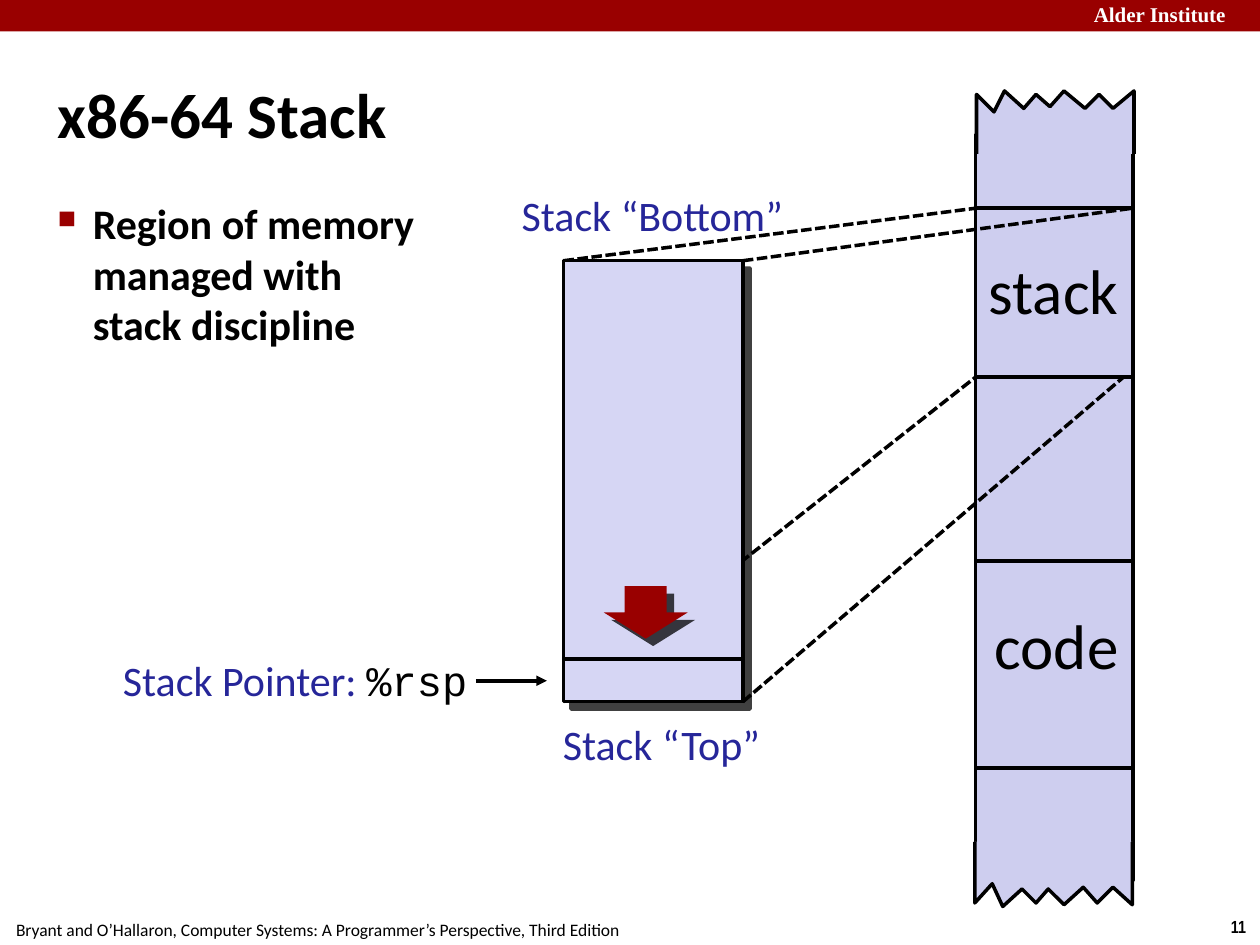
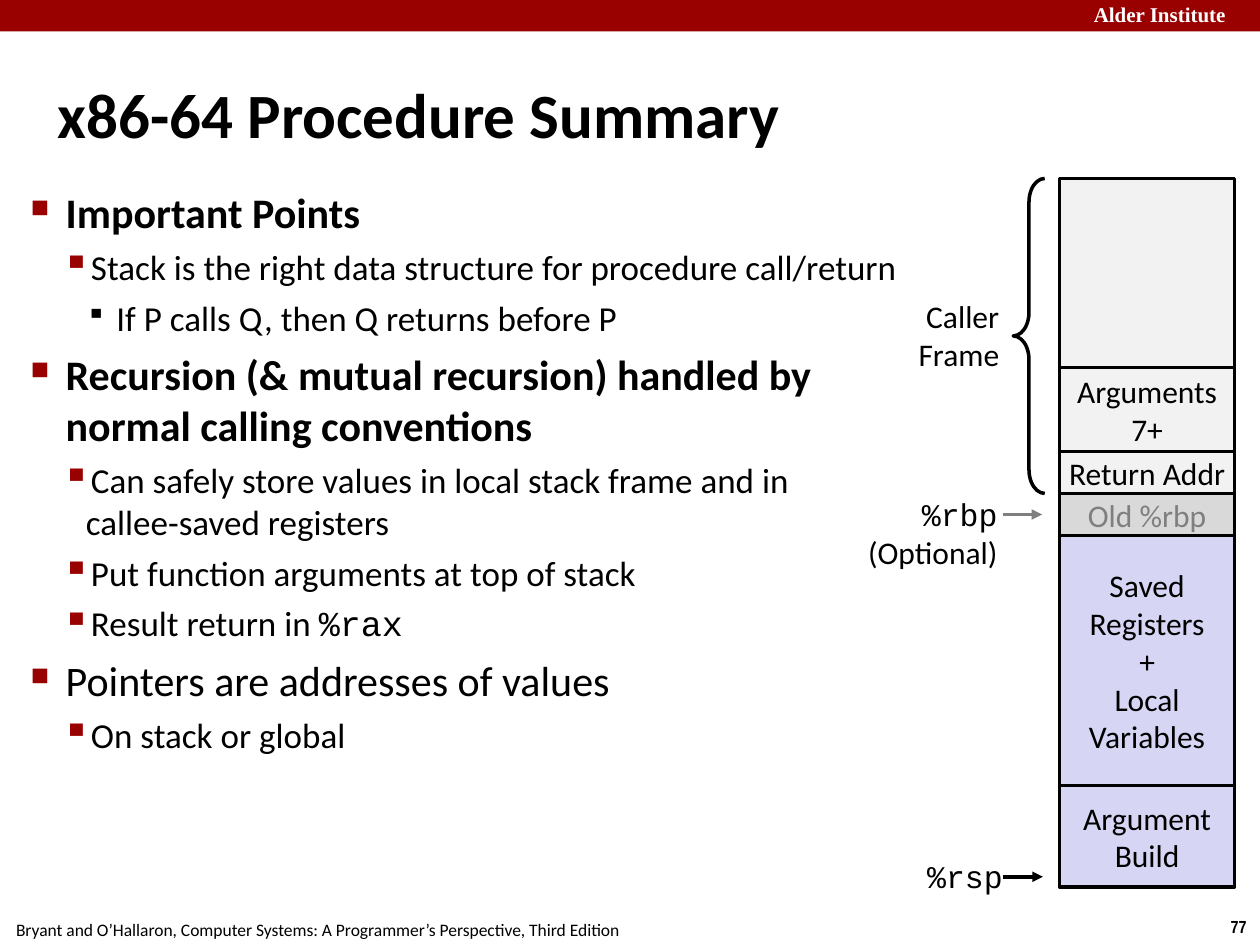
from dataclasses import dataclass
from itertools import chain

from lxml.etree import SubElement
from pptx import Presentation
from pptx.dml.color import RGBColor
from pptx.enum.dml import MSO_LINE
from pptx.enum.shapes import MSO_CONNECTOR, MSO_SHAPE
from pptx.enum.text import MSO_ANCHOR, PP_ALIGN
from pptx.oxml.ns import qn
from pptx.util import Pt


@dataclass(frozen=True)
class Theme:
    """Colours, fonts and type sizes shared by both slides."""
    ink: str = "000000"
    paper: str = "FFFFFF"
    red: str = "990000"
    blue: str = "262699"
    lilac: str = "D6D6F4"
    strip: str = "CECEEF"
    pale: str = "F2F2F2"
    grey: str = "D9D9D9"
    dim: str = "7F7F7F"
    sans: str = "Calibri"
    code: str = "Courier New"
    serif: str = "Times New Roman"
    narrow: str = "Arial Narrow"
    title: int = 36
    head: int = 24
    body: int = 20
    cell: int = 18
    brand: int = 12
    foot: int = 10
    line: int = 2


@dataclass(frozen=True)
class Level:
    """Indents, size and bullet of one outline level."""
    left: float
    hang: float
    size: int
    before: int
    mark: str
    tint: str
    scale: int


T = Theme()
LEVELS = (
    Level(20, 20, T.head, 6, "■", T.red, 60),
    Level(31.5, 13.5, T.body, 5, "▪", T.red, 110),
    Level(49, 17.5, T.body, 5, "▪", T.ink, 80),
)
TEETH = ((0, 34.5), (10, 24), (16.5, 36.5), (27.5, 26.5), (35, 34.5), (42.5, 27.5),
         (51, 36), (62, 26), (70.5, 34.5), (79, 26), (90, 36))
LEFT, CENTER, RIGHT = PP_ALIGN.LEFT, PP_ALIGN.CENTER, PP_ALIGN.RIGHT


def paint(font, size, color, name=T.sans, bold=False):
    """Set the size, colour, face and weight of a font."""
    font.size, font.name, font.bold = Pt(size), name, bold
    font.color.rgb = RGBColor.from_string(color)


def put(para, text, size, color, name=T.sans, bold=False):
    """Fill a paragraph; parts that start with % are set as code."""
    if isinstance(text, str):
        para.text = text
        name = T.code if text.startswith("%") else name
    else:
        for part in text:
            run = para.add_run()
            run.text = part
            if part.startswith("%"):
                paint(run.font, size, T.ink, T.code, bold)
    paint(para.font, size, color, name, bold)


def setup(frame, inset=3, anchor=MSO_ANCHOR.TOP, wrap=True):
    """Set the margins, anchor and wrapping of a text frame."""
    frame.margin_left = frame.margin_right = Pt(inset)
    frame.margin_top = frame.margin_bottom = Pt(inset)
    frame.vertical_anchor, frame.word_wrap = anchor, wrap


def write(frame, lines, size, color=T.ink, align=LEFT, **style):
    """Write one paragraph for each line into a text frame."""
    for i, line in enumerate(lines):
        para = frame.add_paragraph() if i else frame.paragraphs[0]
        para.alignment = align
        put(para, line, size, color, **style)


def label(slide, box, lines, size, color=T.ink, align=CENTER, wrap=False, **style):
    """Add a text box."""
    frame = slide.shapes.add_textbox(*map(Pt, box)).text_frame
    setup(frame, wrap=wrap)
    write(frame, lines, size, color, align, **style)


def style(shape, fill=None, line=T.ink):
    """Set fill and outline and drop the shadow."""
    shape.shadow.inherit = False
    if fill:
        shape.fill.solid()
        shape.fill.fore_color.rgb = RGBColor.from_string(fill)
    else:
        shape.fill.background()
    if line:
        shape.line.width = Pt(T.line)
        shape.line.color.rgb = RGBColor.from_string(line)
    else:
        shape.line.fill.background()


def block(slide, box, fill=None, line=T.ink, kind=MSO_SHAPE.RECTANGLE):
    """Add a preset shape."""
    shape = slide.shapes.add_shape(kind, *map(Pt, box))
    style(shape, fill, line)
    return shape


def shade(shape):
    """Give a shape a hard shadow to the lower right."""
    effects = shape._element.spPr.find(qn("a:effectLst"))
    drop = SubElement(effects, qn("a:outerShdw"), blurRad="0", dist=str(Pt(6)),
                      dir="2700000", algn="ctr", rotWithShape="0")
    color = SubElement(drop, qn("a:srgbClr"), val=T.ink)
    SubElement(color, qn("a:alpha"), val="75000")


def wire(slide, start, end, color=T.ink, dash=False, arrow=False):
    """Add a straight line, dashed or with an arrowhead on demand."""
    line = slide.shapes.add_connector(MSO_CONNECTOR.STRAIGHT, *map(Pt, chain(start, end)))
    line.line.width = Pt(T.line)
    line.line.color.rgb = RGBColor.from_string(color)
    if dash:
        line.line.dash_style = MSO_LINE.SQUARE_DOT
    if arrow:
        SubElement(line.line._get_or_add_ln(), qn("a:tailEnd"), type="triangle")
    SubElement(line._element.spPr, qn("a:effectLst"))


def torn(slide, left, edge, way):
    """Add a ragged end to the memory strip; way is -1 for up, 1 for down."""
    pen = slide.shapes.build_freeform(left, edge, scale=Pt(1))
    points = [(left + x, edge + way * y) for x, y in TEETH]
    pen.add_line_segments(points + [(points[-1][0], edge)], close=False)
    style(pen.convert_to_shape(), T.strip)


def outline(slide, box, items):
    """Add a bulleted list of (level, text, bold) items."""
    frame = slide.shapes.add_textbox(*map(Pt, box)).text_frame
    setup(frame)
    for i, (depth, text, bold) in enumerate(items):
        level = LEVELS[depth]
        para = frame.add_paragraph() if i else frame.paragraphs[0]
        para.level, para.alignment = depth, LEFT
        props = para._p.get_or_add_pPr()
        props.set("marL", str(Pt(level.left)))
        props.set("indent", str(-Pt(level.hang)))
        SubElement(SubElement(props, qn("a:buClr")), qn("a:srgbClr"), val=level.tint)
        SubElement(props, qn("a:buSzPct"), val=str(level.scale * 1000))
        SubElement(props, qn("a:buChar"), char=level.mark)
        para.space_before = Pt(level.before)
        put(para, text, level.size, T.ink, bold=bold)


def page(deck, title, number):
    """Add a slide with its title, top band and footer."""
    slide = deck.slides.add_slide(deck.slide_layouts[5])
    label(slide, (695.5, 520.5, 24.5, 19.5), [number], T.foot, name=T.narrow, bold=True)
    label(slide, (-1.5, 522, 366, 19.5),
          ["Bryant and O’Hallaron, Computer Systems: A Programmer’s Perspective, Third Edition"],
          T.foot)
    block(slide, (0, 0, 720, 18), T.red, None)
    label(slide, (622, -2, 104, 20), ["Alder Institute"], T.brand, T.paper, LEFT,
          name=T.serif, bold=True)
    head = slide.shapes.title
    head.left, head.top, head.width, head.height = map(Pt, (30, 20, 660, 90))
    setup(head.text_frame, anchor=MSO_ANCHOR.MIDDLE)
    write(head.text_frame, [title], T.title, bold=True)
    return slide


def stack(deck):
    """Build the slide that zooms from memory into the stack."""
    slide = page(deck, "x86-64 Stack", "11")
    left, right, top, base = 322, 424.5, 149, 401
    near, far, roof, floor = 557.5, 647, 119, 215.5
    wire(slide, (left, top), (near, roof), dash=True)
    wire(slide, (left, base), (near, floor), dash=True)
    outline(slide, (30, 110, 351, 428),
            [(0, "Region of memory\nmanaged with\nstack discipline", True)])

    wire(slide, (272, 389), (312.5, 389), arrow=True)
    label(slide, (62.5, 371, 207.5, 36), [("Stack Pointer: ", "%rsp")], T.head, T.blue, RIGHT)
    shade(block(slide, (left, top, right - left, base - top), T.lilac))
    label(slide, (317, 407.5, 122, 35), ["Stack “Top”"], T.head, T.blue)
    wire(slide, (left, 376.5), (right, 376.5))
    label(slide, (292.5, 105, 160.5, 35), ["Stack “Bottom”"], T.head, T.blue)

    block(slide, (near, 77, 90, 426), T.strip)
    torn(slide, near, 88.5, -1)
    torn(slide, near - 0.75, 481, 1)
    for y in (roof, floor, 320.5, 439):
        wire(slide, (near, y), (far, y))
    label(slide, (561, 343.5, 85.5, 51), ["code"], T.title)
    label(slide, (557.5, 140.5, 89, 51), ["stack"], T.title)
    wire(slide, (right, top), (far, roof), dash=True)
    wire(slide, (right, base), (642, floor), dash=True)
    shade(block(slide, (345, 335, 48, 30), T.red, None, MSO_SHAPE.DOWN_ARROW))


def recap(deck):
    """Build the summary slide with the stack frame."""
    slide = page(deck, "x86-64 Procedure Summary", "77")
    outline(slide, (14.5, 103.5, 513.5, 412), [
        (0, "Important Points", True),
        (1, "Stack is the right data structure for procedure call/return", False),
        (2, "If P calls Q, then Q returns before P", False),
        (0, "Recursion (& mutual recursion) handled by normal calling conventions", True),
        (1, "Can safely store values in local stack frame and in \ncallee-saved registers", False),
        (1, "Put function arguments at top of stack", False),
        (1, ("Result return in ", "%rax"), False),
        (0, "Pointers are addresses of values", False),
        (1, "On stack or global", False),
    ])

    top = 102
    for high, fill, ink, lines in (
        (108, T.pale, T.ink, ()),
        (48, T.pale, T.ink, ("Arguments", "7+")),
        (24, T.pale, T.ink, ("Return Addr",)),
        (24, T.grey, T.dim, ("Old %rbp",)),
        (143, T.lilac, T.ink, ("Saved", "Registers", "+", "Local", "Variables")),
        (58, T.lilac, T.ink, ("Argument", "Build")),
    ):
        frame = block(slide, (605.5, top, 100, high), fill).text_frame
        setup(frame, 0, MSO_ANCHOR.MIDDLE)
        write(frame, lines, T.cell, ink, CENTER)
        top += high

    label(slide, (520, 167, 54, 50), ["Caller", "Frame"], T.cell, align=RIGHT)
    brace = block(slide, (579, 102, 18, 180), kind=MSO_SHAPE.LEFT_BRACE)
    brace.adjustments[0] = 0.75
    wire(slide, (573, 294), (595.5, 294), T.dim, arrow=True)
    label(slide, (450, 280, 123, 26), ["%rbp", "(Optional)"], T.cell, align=RIGHT, wrap=True)
    wire(slide, (573, 501), (596, 501), arrow=True)
    label(slide, (459.5, 487, 116.5, 26), ["%rsp"], T.cell, align=RIGHT, wrap=True)


def main():
    """Build and save the deck."""
    deck = Presentation()
    deck.slide_width, deck.slide_height = Pt(720), Pt(540)
    stack(deck)
    recap(deck)
    deck.save("out.pptx")


if __name__ == "__main__":
    main()
